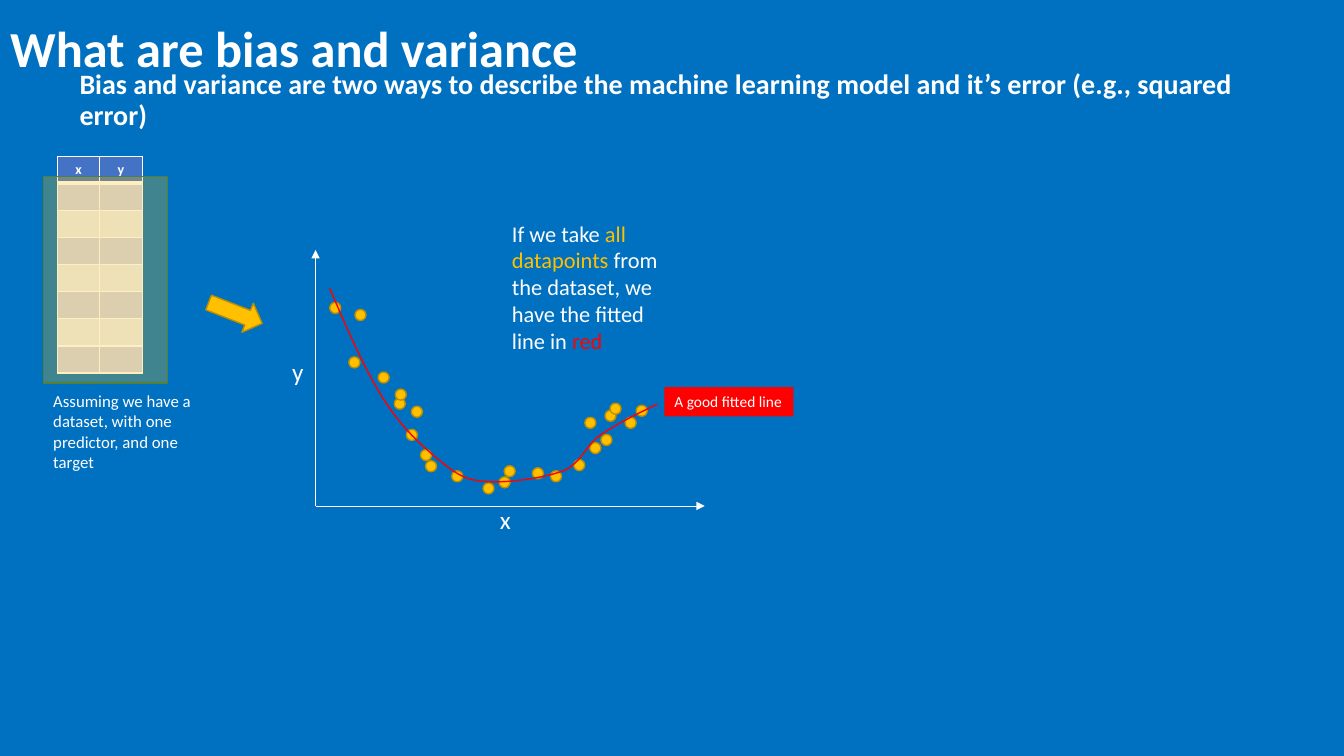
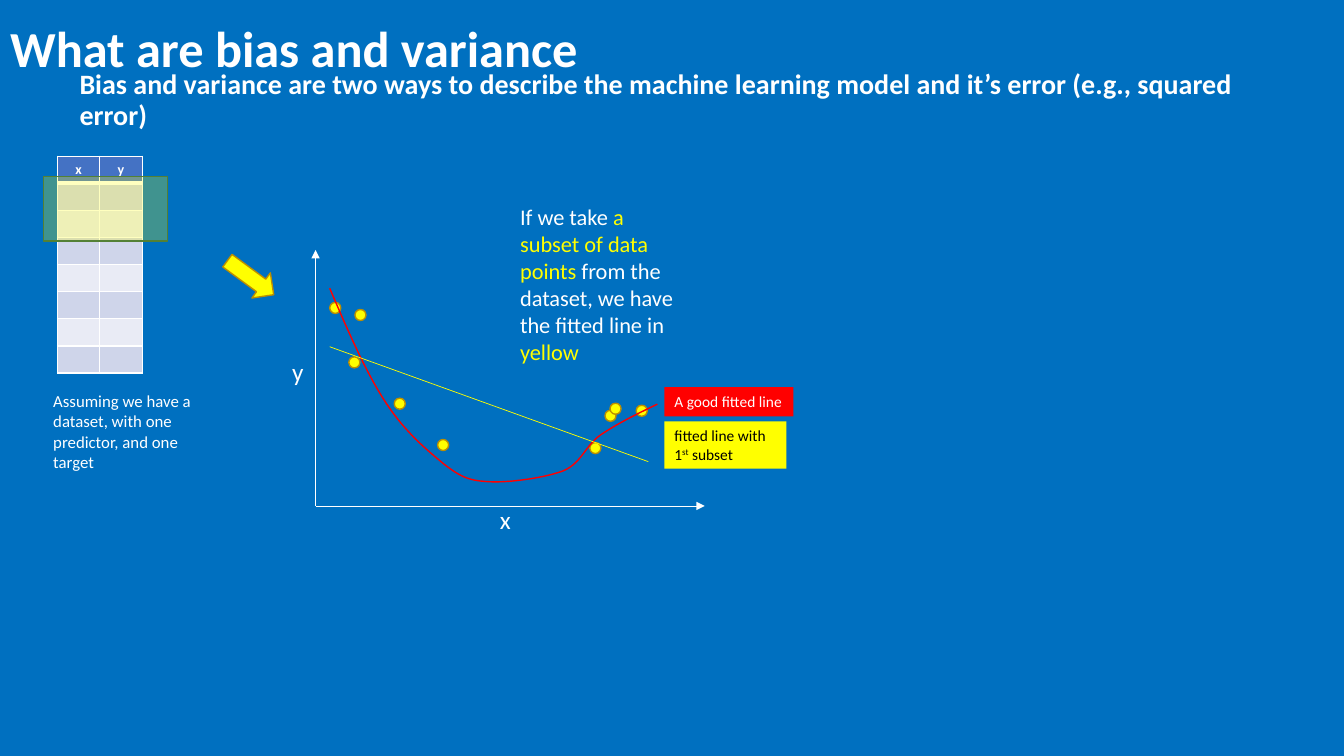
from collections import namedtuple

from lxml import etree
from pptx import Presentation
from pptx import util as u
from pptx.dml.color import RGBColor
from pptx.enum import shapes, text
from pptx.oxml.ns import qn

CELL = u.Inches(0.01)
COLS, ROWS = 1333, 750
FONT = "Calibri"
C = {
    "back": "0070C0", "white": "FFFFFF", "black": "000000", "red": "FF0000",
    "gold": "FFC000", "yellow": "FFFF00", "gold_edge": "BD8E00",
    "green_edge": "538035", "header": "4472C4", "band_dark": "CFD5EA",
    "band_light": "E9EBF5",
}

TITLE = "What are bias and variance"
SUBTITLE = ("Bias and variance are two ways to describe the machine learning "
            "model and it’s error (e.g., squared error)")
CAPTION = "Assuming we have a dataset, with one predictor, and one target"

ALL_POINTS = [
    (14, 52), (39, 59), (33, 106), (62, 121), (78, 147), (79, 138), (95, 155),
    (90, 178), (104, 198), (109, 209), (135, 219), (166, 231), (187, 214),
    (182, 225), (215, 216), (233, 219), (256, 208), (267, 166), (283, 183),
    (272, 191), (318, 154), (307, 166), (287, 159), (292, 152),
]
SUBSET_POINTS = [
    (14, 52), (39, 59), (33, 106), (78, 147), (121, 188), (272, 191),
    (318, 154), (287, 159), (292, 152),
]
CURVE_START = (14, 38)
CURVE = [
    ((32, 80), (50, 122), (70, 152)), ((89, 181), (111, 199), (128, 213)),
    ((145, 226), (153, 229), (173, 230)), ((192, 231), (228, 226), (246, 219)),
    ((264, 211), (267, 195), (282, 184)), ((298, 173), (318, 163), (339, 153)),
]


class Box(namedtuple("Box", "x y w h")):
    """A rectangle in grid columns and rows."""

    def inner(self, x, y, w, h):
        """Return a box placed relative to this one."""
        return Box(self.x + x, self.y + y, w, h)

    def point(self, x, y):
        """Return a relative point in slide units."""
        return round((self.x + x) * CELL), round((self.y + y) * CELL)

    def emu(self):
        """Return left, top, width and height in slide units."""
        return [round(v * CELL) for v in self]


PAGE = Box(0, 0, COLS, ROWS)
DATASET = PAGE.inner(43, 155, 160, 319)
PLOT = PAGE.inner(313, 248, 386, 254)


def rgb(name):
    """Look up a palette colour."""
    return RGBColor.from_string(C[name])


def write(tf, runs, size, bold=False, align=text.PP_ALIGN.LEFT):
    """Fill a text frame with one paragraph of (text, colour, baseline) runs."""
    p = tf.paragraphs[0]
    p.alignment = align
    for words, color, *base in runs:
        r = p.add_run()
        r.text = words
        r.font.name, r.font.size, r.font.bold = FONT, u.Pt(size), bold
        r.font.color.rgb = rgb(color)
        if base:
            r.font._element.set("baseline", str(base[0] * 1000))


def add_text(s, box, runs, size, wrap=True, bold=False):
    """Add a text box."""
    tf = s.shapes.add_textbox(*box.emu()).text_frame
    tf.word_wrap = wrap
    write(tf, runs, size, bold)
    return tf


def add_shape(s, kind, box, fill, edge=None, alpha=None):
    """Add a flat preset shape."""
    sp = s.shapes.add_shape(kind, *box.emu())
    sp.shadow.inherit = False
    sp.fill.solid()
    sp.fill.fore_color.rgb = rgb(fill)
    if alpha:
        color = sp._element.spPr.find(".//" + qn("a:srgbClr"))
        etree.SubElement(color, qn("a:alpha"), val=str(alpha * 1000))
    if edge:
        sp.line.color.rgb = rgb(edge)
        sp.line.width = u.Pt(1)
    else:
        sp.line.fill.background()
    return sp


def add_line(s, start, end, color, arrow=False):
    """Add a thin straight line, with an arrowhead if asked."""
    cx = s.shapes.add_connector(shapes.MSO_CONNECTOR.STRAIGHT, *start, *end)
    cx.line.color.rgb = rgb(color)
    cx.line.width = u.Pt(0.5)
    sp_pr = cx._element.spPr
    if arrow:
        etree.SubElement(sp_pr.find(qn("a:ln")), qn("a:tailEnd"), type="triangle")
    etree.SubElement(sp_pr, qn("a:effectLst"))


def add_curve(s, box):
    """Draw the red fitted curve from its Bezier pieces."""
    steps, last, pts = 16, CURVE_START, []
    for a, b, end in CURVE:
        for t in (i / steps for i in range(1, steps + 1)):
            weights = ((1 - t) ** 3, 3 * t * (1 - t) ** 2, 3 * t * t * (1 - t), t ** 3)
            xy = [sum(k * v for k, v in zip(weights, axis))
                  for axis in zip(last, a, b, end)]
            pts.append(box.point(*xy))
        last = end
    builder = s.shapes.build_freeform(*box.point(*CURVE_START))
    builder.add_line_segments(pts, close=False)
    sp = builder.convert_to_shape()
    sp.shadow.inherit = False
    sp.fill.background()
    sp.line.color.rgb = rgb("red")
    sp.line.width = u.Pt(1)


def style_cell(cell, fill, top, bottom):
    """Fill a table cell and give it white borders."""
    cell.fill.solid()
    cell.fill.fore_color.rgb = rgb(fill)
    tc_pr = cell._tc.get_or_add_tcPr()
    for i, (side, width) in enumerate(zip("LRTB", (1, 1, top, bottom))):
        ln = etree.Element(qn("a:ln" + side), w=str(int(u.Pt(width))))
        solid = etree.SubElement(ln, qn("a:solidFill"))
        etree.SubElement(solid, qn("a:srgbClr"), val=C["white"])
        tc_pr.insert(i, ln)


def add_data_table(s, box, names=("x", "y"), rows=8):
    """Add the small data table with an x and a y column."""
    table = s.shapes.add_table(rows, len(names), *box.emu()).table
    for col in table.columns:
        col.width = round(box.w * CELL / len(names))
    for i, row in enumerate(table.rows):
        row.height = round(box.h * CELL / rows)
        for name, cell in zip(names, row.cells):
            fill = "band_dark" if i % 2 else "band_light"
            style_cell(cell, fill if i else "header",
                       3 if i == 1 else 1, 1 if i else 3)
            if i == 0:
                write(cell.text_frame, [(name, "white")], 10, True,
                      text.PP_ALIGN.CENTER)
            else:
                p = cell.text_frame.paragraphs[0]
                etree.SubElement(p._p, qn("a:endParaRPr"), sz="1000")


def add_heading(s, box):
    """Place the title and the line below it."""
    sp = s.shapes.title
    sp.left, sp.top, sp.width, sp.height = box.inner(0, 0, 588, 83).emu()
    write(sp.text_frame, [(TITLE, "white")], 36, True)
    sub = add_text(s, box.inner(69, 94, 1195, 41), [(SUBTITLE, "white")], 20, bold=True)
    for tf in (sp.text_frame, sub):
        tf.word_wrap = True
        tf.auto_size = text.MSO_AUTO_SIZE.NONE
        tf.vertical_anchor = text.MSO_ANCHOR.BOTTOM
        tf.paragraphs[0].line_spacing = 0.9


def add_dataset(s, box, color, marker_height, arrow, angle):
    """Place the table, its caption, the row marker and the arrow."""
    kind = shapes.MSO_SHAPE
    add_data_table(s, box.inner(14, 0, 84, 213))
    add_text(s, box.inner(0, 228, 160, 91), [(CAPTION, "white")], 12)
    add_shape(s, kind.RECTANGLE, box.inner(0, 20, 123, marker_height),
              color, "green_edge", 25)
    sp = add_shape(s, kind.RIGHT_ARROW, box.inner(*arrow, 57, 31), color, "gold_edge")
    sp.rotation = angle


def add_legend(s, box, fill, runs, wrap):
    """Add a coloured label for a fitted line."""
    tf = add_shape(s, shapes.MSO_SHAPE.RECTANGLE, box, fill).text_frame
    tf.word_wrap = wrap
    write(tf, runs, 11)


def add_plot(s, box, color, points, note_box, note):
    """Draw axes, data points, the red curve, labels and the note."""
    for end in ((0, 0), (box.w, box.h)):
        add_line(s, box.point(0, box.h), box.point(*end), "white", True)
    for x, y in points:
        add_shape(s, shapes.MSO_SHAPE.OVAL, box.inner(x, y, 11, 11), color, "gold_edge")
    add_curve(s, box)
    for name, place in (("x", (173, 247, 31, 40)), ("y", (-33, 101, 32, 40))):
        add_text(s, box.inner(*place), [(name, "white")], 18, wrap=False)
    add_text(s, box.inner(*note_box), note, 16)
    add_legend(s, box.inner(346, 136, 128, 29), "red",
               [("A good fitted line", "white")], False)


def add_subset_fit(s, box):
    """Draw the straight line fitted to the subset and its label."""
    add_line(s, box.point(14, 96), box.point(330, 210), "yellow")
    runs = [("fitted line with 1", "black"), ("st", "black", 30), (" subset", "black")]
    add_legend(s, box.inner(346, 170, 121, 47), "yellow", runs, True)


def fit_slide(prs, color, points, marker_height, arrow, angle, note_box, sample, fit):
    """Build one slide that shows a sample and its fitted line."""
    s = prs.slides.add_slide(prs.slide_layouts.get_by_name("Title Only"))
    note = [("If we take ", "white"), (sample, color),
            (" from the dataset, we have the fitted line in ", "white"), (fit, fit)]
    add_heading(s, PAGE)
    add_dataset(s, DATASET, color, marker_height, arrow, angle)
    add_plot(s, PLOT, color, points, note_box, note)
    return s


def main():
    """Build and save the presentation."""
    prs = Presentation()
    prs.slide_width, prs.slide_height = COLS * CELL, ROWS * CELL
    fill = prs.slide_master.background.fill
    fill.solid()
    fill.fore_color.rgb = rgb("back")
    fit_slide(prs, "gold", ALL_POINTS, 205, (162, 140), 21.3,
              (185, -35, 186, 145), "all datapoints", "red")
    s = fit_slide(prs, "yellow", SUBSET_POINTS, 64, (177, 105), 36.3,
                  (193, -51, 186, 172), "a subset of data points", "yellow")
    add_subset_fit(s, PLOT)
    prs.save("out.pptx")


if __name__ == "__main__":
    main()
